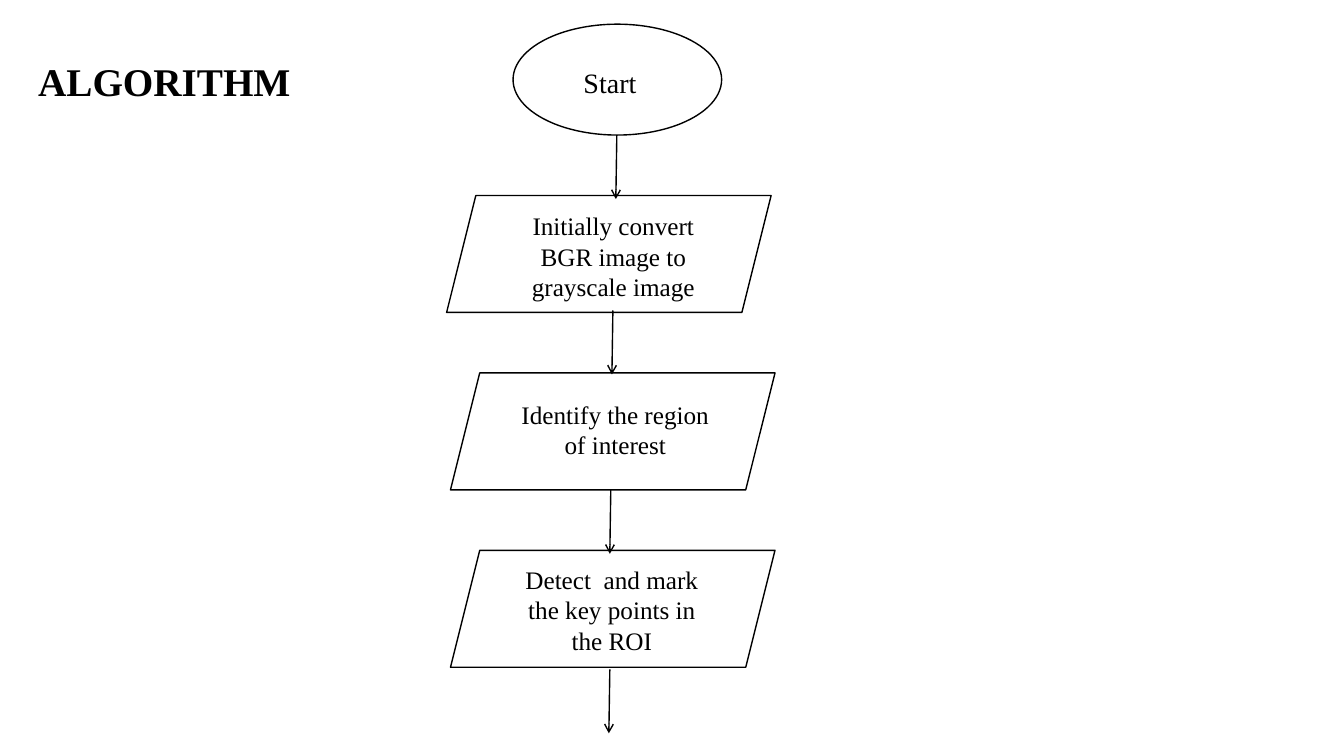
from pptx import Presentation
from pptx.dml.color import RGBColor
from pptx.enum.shapes import MSO_CONNECTOR as Connector, MSO_SHAPE as Shape
from pptx.enum.text import PP_ALIGN as Align
from pptx.oxml.ns import qn
from pptx.util import Pt
from lxml.etree import SubElement

BLACK, WHITE = "000000", "FFFFFF"
FONT = "Times New Roman"
STEP_TOP, STEP_PITCH, STEP_WIDTH, STEP_HEIGHT = 139.7, 126.7, 231.8, 83.5
STEPS = [
    (319, "Initially convert BGR image to grayscale image", (41.7, 7.2, 154.8, 72.7)),
    (321.8, "Identify the region of interest", (36, 15.1, 163.4, 51.1)),
    (321.8, "Detect  and mark the key points in the ROI", (45.4, 6.5, 139.7, 72.7)),
]
ARROWS = [(440.6, 96.5), (437.8, 221.8), (436.3, 349.9), (435.6, 478.1)]
ARROW_LEAN, ARROW_LENGTH = 0.7, 45.7


def color(value):
    """Return the colour of a hex string."""
    return RGBColor.from_string(value)


def add_text(slide, box, text, size, align=Align.LEFT, bold=False):
    """Add a wrapping text box with one paragraph."""
    frame = slide.shapes.add_textbox(*map(Pt, box)).text_frame
    frame.word_wrap = True
    para = frame.paragraphs[0]
    para.text = text
    para.alignment = align
    font = para.font
    font.name, font.size, font.bold = FONT, Pt(size), bold
    font.color.rgb = color(BLACK)


def add_outline(slide, kind, box):
    """Add a white shape with a thin black outline."""
    shape = slide.shapes.add_shape(kind, *map(Pt, box))
    shape.shadow.inherit = False
    shape.fill.solid()
    shape.fill.fore_color.rgb = color(WHITE)
    shape.line.color.rgb = color(BLACK)
    shape.line.width = Pt(1)


def add_arrow(slide, left, top):
    """Add a slightly leaning arrow that points down from a start point."""
    ends = (left, top, left - ARROW_LEAN, top + ARROW_LENGTH)
    arrow = slide.shapes.add_connector(Connector.STRAIGHT, *map(Pt, ends))
    arrow.line.color.rgb = color(BLACK)
    arrow.line.width = Pt(1)
    properties = arrow.element.spPr
    SubElement(properties.find(qn("a:ln")), qn("a:tailEnd"), type="arrow")
    SubElement(properties, qn("a:effectLst"))


def add_start(slide, box):
    """Add the start ellipse and its label."""
    left, top, width, height = box
    add_outline(slide, Shape.OVAL, box)
    add_text(slide, (left + 43.2, top + 25.9, 87.8, 31.7), "Start", 20)


def add_step(slide, box, text, label):
    """Add a step parallelogram with its label at an offset from the corner."""
    left, top, width, height = box
    shift_x, shift_y, label_width, label_height = label
    add_outline(slide, Shape.PARALLELOGRAM, box)
    label_box = (left + shift_x, top + shift_y, label_width, label_height)
    add_text(slide, label_box, text, 18, Align.CENTER)


def main():
    """Build the algorithm flowchart slide."""
    deck = Presentation()
    deck.slide_width, deck.slide_height = Pt(960), Pt(540)
    slide = deck.slides.add_slide(deck.slide_layouts[6])
    add_text(slide, (20.2, 37.4, 240.5, 41), "ALGORITHM", 28, bold=True)
    add_start(slide, (366.5, 17.3, 149, 79.2))
    for index, (left, text, label) in enumerate(STEPS):
        top = STEP_TOP + index * STEP_PITCH
        add_step(slide, (left, top, STEP_WIDTH, STEP_HEIGHT), text, label)
    for left, top in ARROWS:
        add_arrow(slide, left, top)
    deck.save("out.pptx")


if __name__ == "__main__":
    main()
